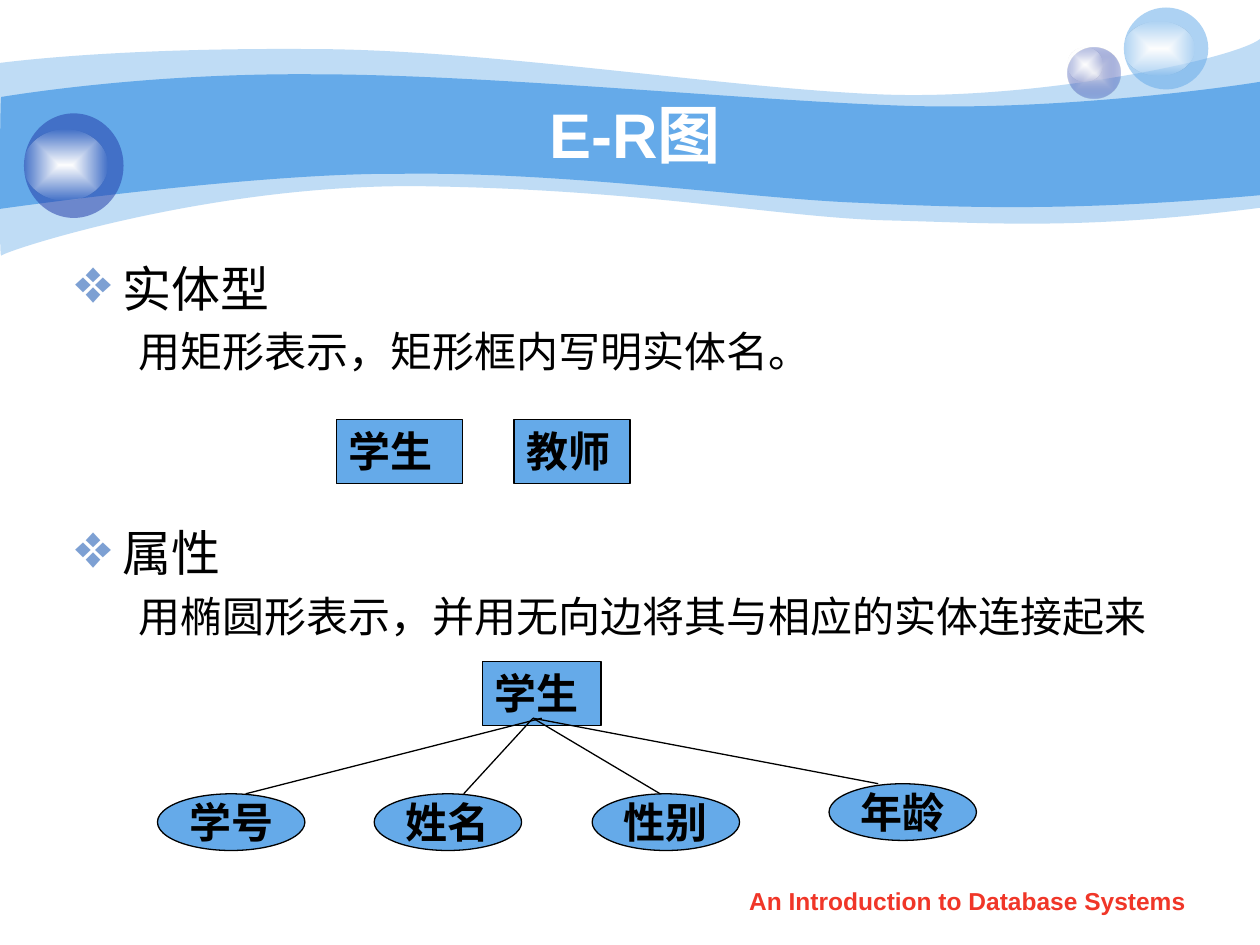
from dataclasses import dataclass

from lxml import etree
from pptx import Presentation, util as u
from pptx.dml.color import RGBColor
from pptx.enum import shapes, text
from pptx.oxml.ns import qn

CELL = 0.1  # grid of 100 columns by 75 rows, 0.1 inch each
COLS, ROWS = 100, 75


@dataclass(frozen=True)
class Theme:
    sky: str = "65AAE9"
    navy: str = "233DA9"
    pale: str = "E1E2ED"
    white: str = "FFFFFF"
    black: str = "000000"
    red: str = "F03628"
    bullet: str = "7DA0D3"
    sans: str = "Arial"
    serif: str = "Times New Roman"
    title: int = 36
    heading: int = 28
    label: int = 24
    footer: int = 14
    line: float = 0.75


T = Theme()


@dataclass(frozen=True)
class Box:
    col: float
    row: float
    cols: float
    rows: float

    def emu(self) -> tuple:
        return tuple(map(grid, (self.col, self.row, self.cols, self.rows)))


@dataclass(frozen=True)
class Stop:
    color: str
    alpha: int = 100


@dataclass(frozen=True)
class Entity:
    name: str
    box: Box


@dataclass(frozen=True)
class Attribute:
    name: str
    col: float
    row: float
    start: float  # column where its edge leaves the entity
    end: float  # column where its edge meets the ellipse


@dataclass(frozen=True)
class Topic:
    heading: str
    detail: str
    gap: float  # points above the heading


def grid(n: float) -> u.Emu:
    return u.Inches(n * CELL)


def child(parent, tag: str, **attrs):
    return etree.SubElement(parent, qn(tag), {k: str(v) for k, v in attrs.items()})


def add_color(parent, stop: Stop) -> None:
    clr = child(parent, "a:srgbClr", val=stop.color)
    if stop.alpha < 100:
        child(clr, "a:alpha", val=stop.alpha * 1000)


def paint(sp, *stops: Stop) -> None:
    """One stop gives a solid fill, two a gradient from the centre outwards."""
    sp.shadow.inherit = False
    sp.line.fill.background()
    sp.fill.solid()
    old = sp._element.spPr.find(qn("a:solidFill"))
    new = etree.Element(qn("a:solidFill" if len(stops) == 1 else "a:gradFill"))
    if len(stops) == 1:
        add_color(new, stops[0])
    else:
        gs_list = child(new, "a:gsLst")
        for pos, stop in zip((0, 100000), stops):
            add_color(child(gs_list, "a:gs", pos=pos), stop)
        centre = child(new, "a:path", path="shape")
        child(centre, "a:fillToRect", l=50000, t=50000, r=50000, b=50000)
    old.getparent().replace(old, new)


def add_run(p, words: str, size: float, color: str, font: str, bold: bool = True) -> None:
    r = p.add_run()
    r.text = words
    r.font.size, r.font.name, r.font.bold = u.Pt(size), font, bold
    r.font.color.rgb = RGBColor.from_string(color)


def add_wave(s, top: list, bottom: list, stop: Stop) -> None:
    """Fill the area between two chains of cubic curves, given in grid cells."""
    points = [(grid(x), grid(y)) for x, y in top + bottom]
    fb = s.shapes.build_freeform(*points[0])
    fb.add_line_segments(points[1:], close=True)
    sp = fb.convert_to_shape()
    # Join each three segments of a chain into one cubic curve
    lines = list(sp._element.iter(qn("a:lnTo")))
    for chain in (lines[:len(top) - 1], lines[len(top):len(points) - 1]):
        for n in range(0, len(chain), 3):
            curve = etree.Element(qn("a:cubicBezTo"))
            chain[n].addprevious(curve)
            for segment in chain[n:n + 3]:
                curve.append(segment[0])
                segment.getparent().remove(segment)
    paint(sp, stop)


def add_bubble(s, box: Box, *stops: Stop) -> None:
    paint(s.shapes.add_shape(shapes.MSO_SHAPE.OVAL, *box.emu()), *stops)


def add_text(s, box: Box, words: str, size: float, color: str, anchor) -> None:
    tf = s.shapes.add_textbox(*box.emu()).text_frame
    tf.word_wrap, tf.vertical_anchor = True, anchor
    p = tf.paragraphs[0]
    p.alignment = text.PP_ALIGN.CENTER
    add_run(p, words, size, color, T.sans)


def add_node(s, kind, box: Box, name: str, centred: bool) -> None:
    sp = s.shapes.add_shape(kind, *box.emu())
    paint(sp, Stop(T.sky))
    sp.line.color.rgb = RGBColor.from_string(T.black)
    sp.line.width = u.Pt(T.line)
    tf = sp.text_frame
    tf.word_wrap = not centred
    tf.vertical_anchor = text.MSO_ANCHOR.MIDDLE if centred else text.MSO_ANCHOR.TOP
    p = tf.paragraphs[0]
    p.alignment = text.PP_ALIGN.CENTER if centred else text.PP_ALIGN.LEFT
    add_run(p, name, T.label, T.black, T.serif)


def add_edge(s, x1: float, y1: float, x2: float, y2: float) -> None:
    c = s.shapes.add_connector(shapes.MSO_CONNECTOR.STRAIGHT, *map(grid, (x1, y1, x2, y2)))
    c.line.color.rgb = RGBColor.from_string(T.black)
    c.line.width = u.Pt(T.line)
    child(c._element.spPr, "a:effectLst")


def add_topics(s, box: Box, topics: list) -> None:
    tf = s.shapes.add_textbox(*box.emu()).text_frame
    tf.word_wrap = True
    for n, topic in enumerate(topics):
        p = tf.paragraphs[0] if n == 0 else tf.add_paragraph()
        pPr = p._p.get_or_add_pPr()
        pPr.set("marL", str(grid(3.75)))
        pPr.set("indent", str(-grid(3.75)))
        add_color(child(pPr, "a:buClr"), Stop(T.bullet))
        child(pPr, "a:buSzPct", val=128000)
        child(pPr, "a:buChar", char="❖")
        if topic.gap:
            p.space_before = u.Pt(topic.gap)
        add_run(p, topic.heading, T.heading, T.black, T.sans, bold=False)
        p = tf.add_paragraph()
        p.level = 1
        pPr = p._p.get_or_add_pPr()
        pPr.set("marL", str(grid(8.1)))
        pPr.set("indent", str(-grid(3.1)))
        child(pPr, "a:buNone")
        p.space_before = u.Pt(4.8)
        add_run(p, topic.detail, T.label, T.black, T.sans, bold=False)


def main() -> None:
    prs = Presentation()
    prs.slide_width, prs.slide_height = grid(COLS), grid(ROWS)
    s = prs.slides.add_slide(prs.slide_layouts[6])

    # Banner waves
    add_wave(s, [(0, 5), (2.4, 4.7), (10.7, 3.8), (24.7, 3.9), (38.6, 3.9), (57.5, 7),
                 (69.9, 7.5), (82.2, 8), (98, 4.7), (100, 3.1)],
             [(100, 16.5), (85.8, 18.3), (78.7, 17.7), (70.5, 17.5), (62.2, 17.3), (51.5, 15.1),
              (34.3, 14.8), (17.2, 14.4), (0.4, 19.9), (0.1, 20.3), (-0.1, 20.8), (0, 7.5), (0, 5)],
             Stop(T.sky, 41))
    add_wave(s, [(0.1, 7.7), (0.2, 7.7), (11, 5.8), (24.8, 5.9), (38.6, 5.9), (59.5, 8),
                 (71.8, 8.4), (84.1, 8.8), (97.6, 6.9), (100, 6.5)],
             [(100, 15.5), (85.3, 16.8), (76.5, 16.5), (68.2, 16.1), (59.9, 15.8), (44.7, 13.6),
              (31.7, 13.8), (20.3, 13.7), (-0.2, 16.6), (-0.1, 16.6), (0, 16.6), (0, 7.7), (0.1, 7.7)],
             Stop(T.sky))

    # Bubbles, each with a glow
    glow = (Stop(T.white), Stop(T.white, 0))
    for ball, shine, stops in (
        (Box(84.7, 3.8, 4.2, 4), Box(84.7, 3.8, 2.8, 2.7), (Stop(T.pale), Stop(T.navy, 31))),
        (Box(89.2, 0.6, 6.7, 6.5), Box(89.2, 1.7, 5.6, 4.3), (Stop(T.sky, 53),)),
        (Box(1.9, 9, 7.9, 8.3), Box(1.9, 10.3, 6.6, 5.6), (Stop(T.navy, 53),)),
    ):
        add_bubble(s, ball, *stops)
        add_bubble(s, shine, *glow)

    # Footer, title and body
    add_text(s, Box(57.1, 69.8, 39.4, 3.5), "An Introduction to Database Systems",
             T.footer, T.red, text.MSO_ANCHOR.TOP)
    add_text(s, Box(10, 7.5, 80.8, 6.2), "E-R图", T.title, T.white, text.MSO_ANCHOR.MIDDLE)
    add_topics(s, Box(5, 20, 90, 49.2), [
        Topic("实体型", "用矩形表示，矩形框内写明实体名。", 0),
        Topic("属性", "用椭圆形表示，并用无向边将其与相应的实体连接起来", 84),
    ])

    # Entities, attributes and the edges between them
    for e in (Entity("学生", Box(26.7, 33.3, 10, 5.1)),
              Entity("教师", Box(40.8, 33.3, 9.2, 5.1)),
              Entity("学生", Box(38.3, 52.5, 9.4, 5.1))):
        add_node(s, shapes.MSO_SHAPE.RECTANGLE, e.box, e.name, centred=False)
    for a in (Attribute("学号", 12.5, 63, 43, 19.5),
              Attribute("姓名", 29.7, 63, 42.3, 36.8),
              Attribute("性别", 47, 63, 42.3, 52.4),
              Attribute("年龄", 65.8, 62.2, 42.3, 69.7)):
        add_node(s, shapes.MSO_SHAPE.OVAL, Box(a.col, a.row, 11.7, 4.5), a.name, centred=True)
        add_edge(s, a.start, 57, a.end, a.row)

    prs.save("out.pptx")


if __name__ == "__main__":
    main()
